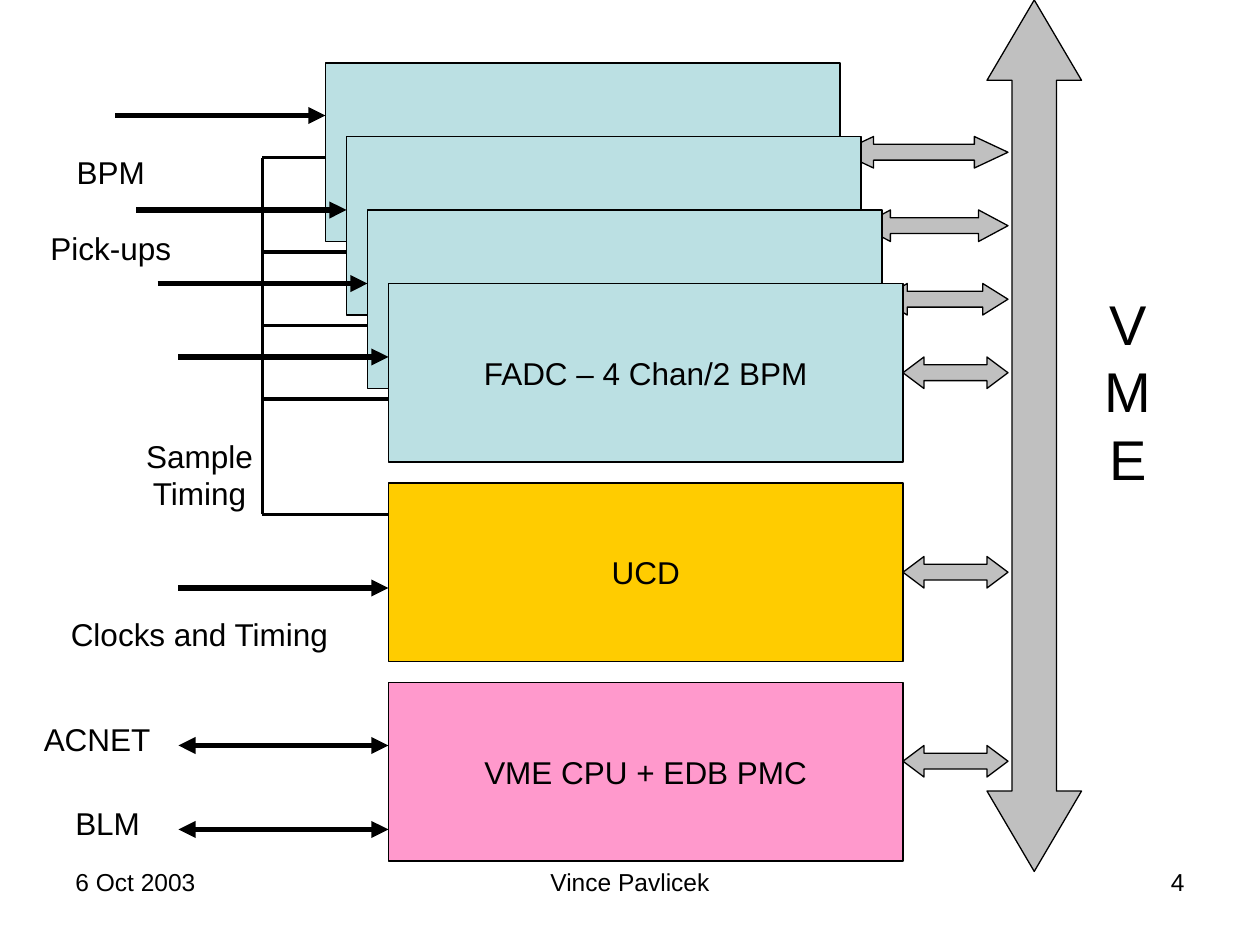
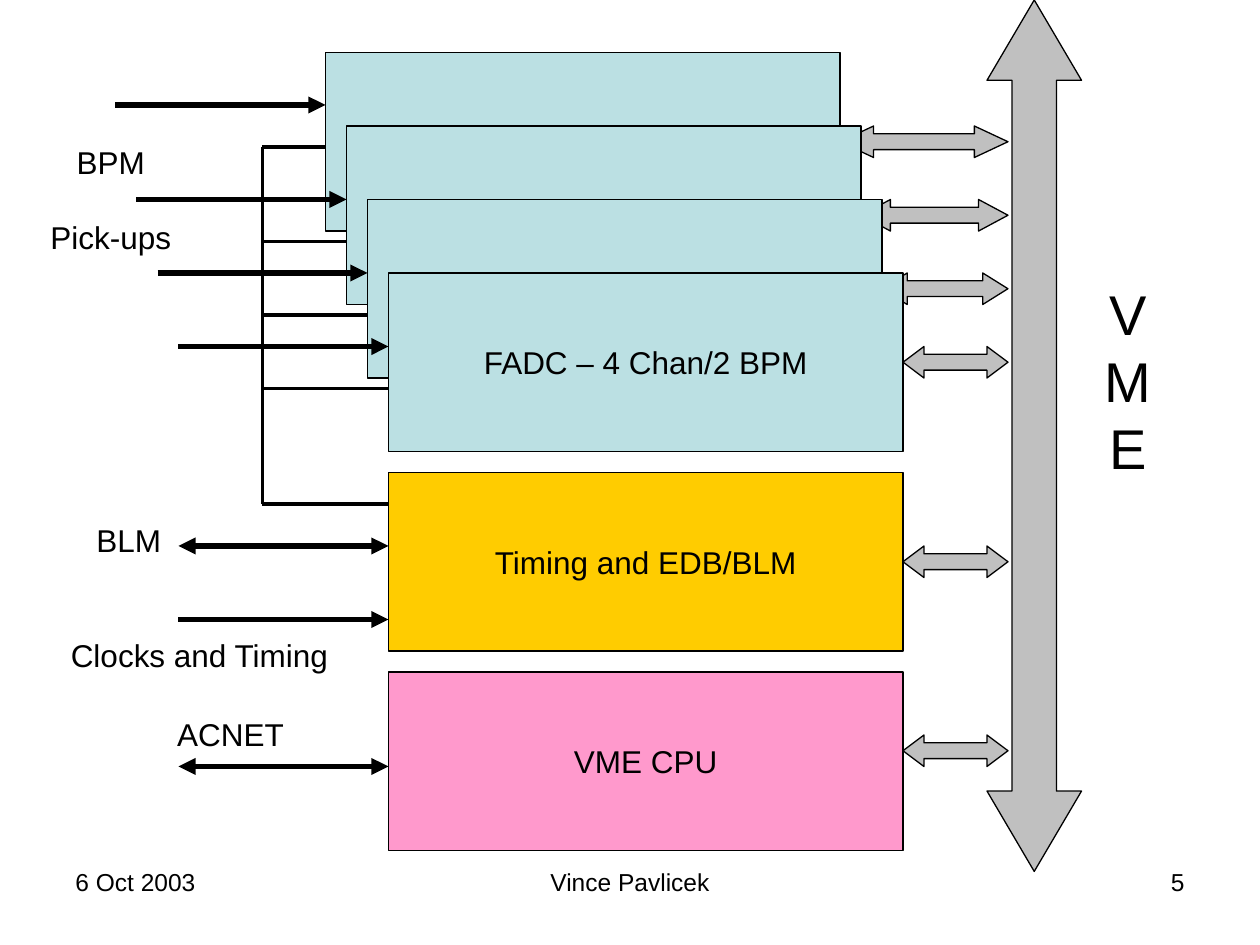
import pptx
import pptx.dml.color
import pptx.enum.shapes
import pptx.enum.text
import pptx.oxml.ns
import pptx.util
from lxml import etree

RGB = pptx.dml.color.RGBColor
SHAPE = pptx.enum.shapes.MSO_SHAPE
ALIGN = pptx.enum.text.PP_ALIGN
FIT = pptx.enum.text.MSO_AUTO_SIZE
Inches, Pt = pptx.util.Inches, pptx.util.Pt
qn = pptx.oxml.ns.qn

BLACK = RGB(0x00, 0x00, 0x00)
GREY = RGB(0xC0, 0xC0, 0xC0)
TEAL = RGB(0xBB, 0xE0, 0xE3)
GOLD = RGB(0xFF, 0xCC, 0x00)
PINK = RGB(0xFF, 0x99, 0xCC)
FONT = "Arial"

# Places and sizes below are in twelfths of an inch.
CARD_W, CARD_H = 49, 17
CARD_X, STEP_X, STEP_Y = 31, 2, 7
FRONT_X = CARD_X + 3 * STEP_X
BUS = (94, 0, 9, 83)
BUS_EDGE = 96
TRUNK_X = 25
FEED_LEN = 20
FEED_DROPS = [5, 7, 7, 7]
TAP_DROPS = [9, 11, 11, 11]

FOOTERS = [
    ("6 Oct 2003", 6, 28, ALIGN.LEFT),
    ("Vince Pavlicek", 41, 38, ALIGN.CENTER),
]
FADC = "FADC – 4 Chan/2 BPM"

# feeds: drop below the top of the card, and whether the arrow is two-way
# labels: lines, left, top, width, format values
SLIDES = [
    {
        "number": "4",
        "top": 6,
        "root_pt": 2,
        "units": [
            {"name": "UCD", "fill": GOLD, "bus_drop": 7, "feeds": [(10, False)]},
            {"name": "VME CPU + EDB PMC", "fill": PINK, "bus_drop": 6,
             "feeds": [(6, True), (14, True)]},
        ],
        "labels": [
            (["BPM", "Pick-ups"], 3, 14, 15.1, {"gap": 21.6}),
            (["Sample", "Timing"], 11, 41, 16, {}),
            (["Clocks and Timing"], 4, 58, 30, {}),
            (["ACNET"], 2.25, 68, 14, {}),
            (["BLM"], 5.25, 76, 10, {}),
            (["V", "M", "E"], 104, 27, 6.9, {"size": 32}),
        ],
    },
    {
        "number": "5",
        "top": 5,
        "root_pt": 2.5,
        "units": [
            {"name": "Timing and EDB/BLM", "fill": GOLD, "bus_drop": 7,
             "feeds": [(7, True), (14, False)]},
            {"name": "VME CPU", "fill": PINK, "bus_drop": 6, "feeds": [(9, True)]},
        ],
        "labels": [
            (["BPM", "Pick-ups"], 3, 13, 15.1, {"gap": 21.6}),
            (["BLM"], 7.25, 49, 10, {}),
            (["Clocks and Timing"], 4, 60, 30, {}),
            (["ACNET"], 14.95, 67.5, 14, {}),
            (["V", "M", "E"], 104, 26, 6.9, {"size": 32}),
        ],
    },
]


def tick(count):
    """Turn twelfths of an inch into a length."""
    return Inches(count / 12)


def apply(target, values):
    for key, value in values.items():
        setattr(target, key, value)


def write(frame, lines, size=18, align=ALIGN.CENTER, wrap=True, gap=0):
    frame.word_wrap = wrap
    for index, line in enumerate(lines):
        para = frame.paragraphs[0] if index == 0 else frame.add_paragraph()
        para.text = line
        para.alignment = align
        if index and gap:
            para.space_before = Pt(gap)
        apply(para.font, {"size": Pt(size), "name": FONT})
        para.font.color.rgb = BLACK


def label(slide, lines, left, top, width, height=4.8, fit=FIT.NONE, **style):
    box = slide.shapes.add_textbox(*map(tick, (left, top, width, height)))
    write(box.text_frame, lines, **style)
    box.text_frame.auto_size = fit


def block(slide, kind, place, fill):
    shape = slide.shapes.add_shape(kind, *map(tick, place))
    shape.shadow.inherit = False
    shape.fill.solid()
    shape.fill.fore_color.rgb = fill
    shape.line.color.rgb = BLACK
    shape.line.width = Pt(0.75)
    return shape


def card(slide, left, top, fill, name=None):
    shape = block(slide, SHAPE.RECTANGLE, (left, top, CARD_W, CARD_H), fill)
    if name:
        shape.text_frame.vertical_anchor = pptx.enum.text.MSO_ANCHOR.MIDDLE
        write(shape.text_frame, [name], wrap=False)


def arrow(slide, kind, place, shaft, head):
    """Draw a grey block arrow with the given shaft and head ratios."""
    shape = block(slide, kind, place, GREY)
    guides = shape._element.spPr.find(qn("a:prstGeom")).find(qn("a:avLst"))
    for guide in list(guides):
        guides.remove(guide)
    for name, ratio in (("adj1", shaft), ("adj2", head)):
        etree.SubElement(guides, qn("a:gd"), name=name,
                         fmla=f"val {round(ratio * 100000)}")


def bus_link(slide, left, top):
    """Draw a two-way block arrow from a card to the bus."""
    width = BUS_EDGE - left
    arrow(slide, SHAPE.LEFT_RIGHT_ARROW, (left, top, width, 3),
          0.5, 0.2 * width / 3)


def wire(slide, start, end, weight=2, heads=()):
    line = slide.shapes.add_connector(
        pptx.enum.shapes.MSO_CONNECTOR.STRAIGHT, *map(tick, (*start, *end)))
    line.line.color.rgb = BLACK
    line.line.width = Pt(weight)
    props = line._element.spPr
    for head in heads:
        etree.SubElement(props.find(qn("a:ln")), qn(head), type="triangle")
    etree.SubElement(props, qn("a:effectLst"))


def feed(slide, right, y, both=False):
    """Draw an input arrow that ends at a card."""
    heads = ["a:headEnd", "a:tailEnd"] if both else ["a:tailEnd"]
    wire(slide, (right - FEED_LEN, y), (right, y), 3.25, heads)


def draw(slide, data):
    stack = [(CARD_X + STEP_X * i, data["top"] + STEP_Y * i) for i in range(4)]
    front_top = stack[-1][1]
    units = [(front_top + 19 * (i + 1), unit)
             for i, unit in enumerate(data["units"])]

    for left, top in stack:
        bus_link(slide, left + CARD_W, top + STEP_Y)
    for left, top in stack:
        card(slide, left, top, TEAL, FADC if left == FRONT_X else None)
    for top, unit in units:
        card(slide, FRONT_X, top, unit["fill"], unit["name"])
        bus_link(slide, FRONT_X + CARD_W, top + unit["bus_drop"])
    arrow(slide, SHAPE.UP_DOWN_ARROW, BUS, 0.47, 0.85)

    root = units[0][0] + 3
    wire(slide, (FRONT_X, root), (TRUNK_X, root), data["root_pt"])
    wire(slide, (TRUNK_X, root), (TRUNK_X, data["top"] + TAP_DROPS[0]))
    for (left, top), tap, drop in zip(stack, TAP_DROPS, FEED_DROPS):
        wire(slide, (TRUNK_X, top + tap), (left, top + tap))
        feed(slide, left, top + drop)
    for top, unit in units:
        for drop, both in unit["feeds"]:
            feed(slide, FRONT_X, top + drop, both)

    for lines, left, top, width, style in data["labels"]:
        label(slide, lines, left, top, width, 4.8 * len(lines),
              fit=FIT.SHAPE_TO_FIT_TEXT, **style)
    footers = FOOTERS + [(data["number"], 86, 28, ALIGN.RIGHT)]
    for text, left, width, align in footers:
        label(slide, [text], left, 82, width, 6.2, size=14, align=align)


def main():
    deck = pptx.Presentation()
    apply(deck, {"slide_width": Inches(10), "slide_height": Inches(7.5)})
    for data in SLIDES:
        draw(deck.slides.add_slide(deck.slide_layouts[6]), data)
    deck.save("out.pptx")


if __name__ == "__main__":
    main()
